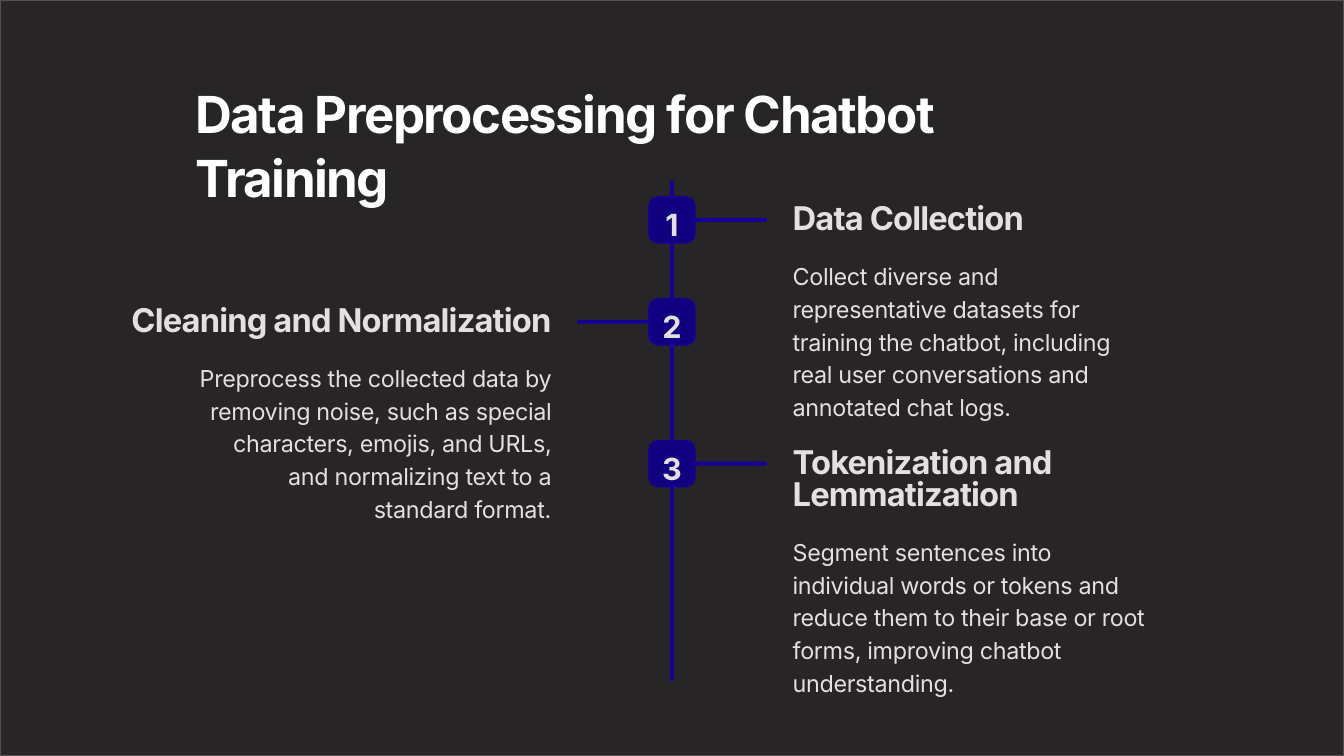
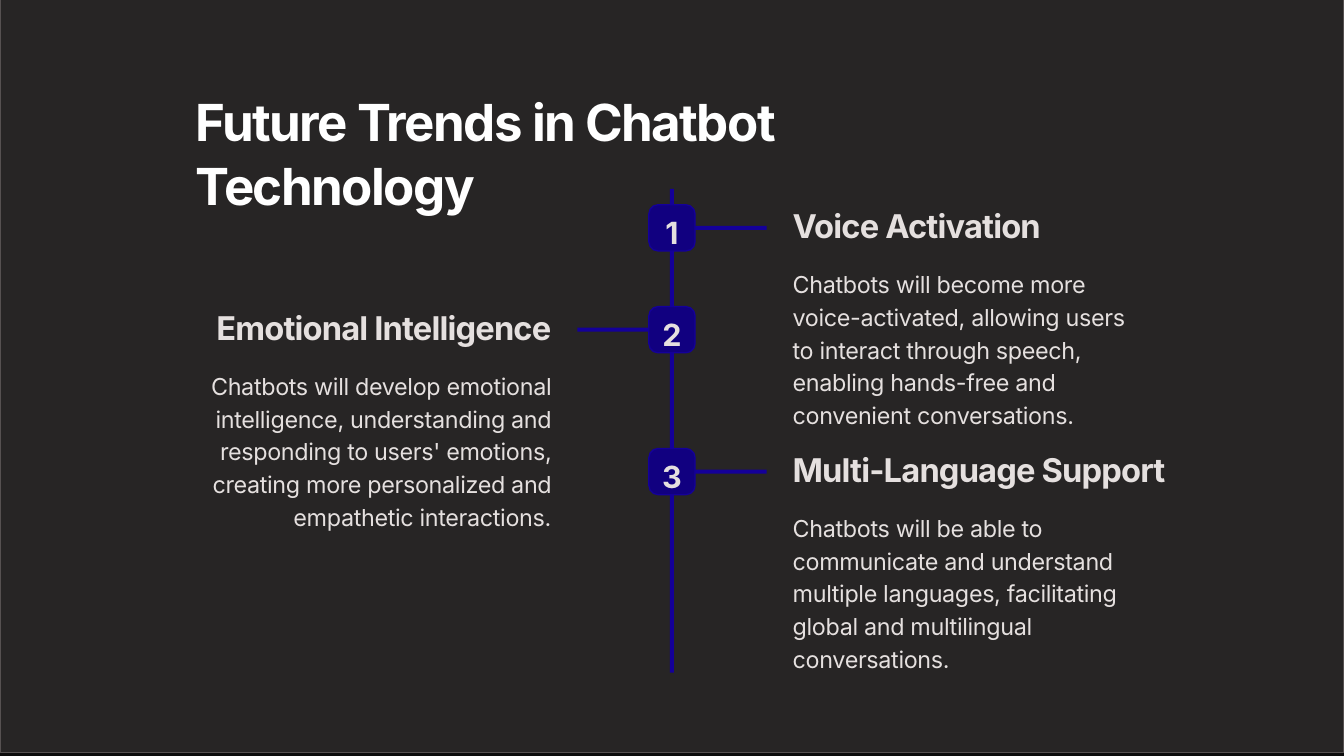
from dataclasses import dataclass

from pptx import Presentation
from pptx.dml.color import RGBColor
from pptx.enum.shapes import MSO_SHAPE as Preset
from pptx.enum.text import MSO_ANCHOR as Anchor, MSO_AUTO_SIZE as AutoSize, PP_ALIGN as Align
from pptx.shapes.autoshape import Shape
from pptx.slide import Slide
from pptx.util import Cm, Pt

COLORS = {
    "backdrop": "0C0C0C",
    "panel": "272525",
    "panel_edge": "565151",
    "title": "FFFFFF",
    "text": "E5E0DF",
    "badge": "110080",
    "line": "140099",
}
FONT = "Inter"
PAGE_WIDTH, PAGE_HEIGHT = 40.64, 22.86
CENTER = PAGE_WIDTH / 2
BADGE = 1.4
STROKE = 0.12
EDGE = Pt(1.09)
BRANCH = 2.16
COLUMN_WIDTH = 11.25
COLUMN_GAP = 3.4
TITLE_LEFT, TITLE_HEIGHT = 5.66, 1.93
HEADING_LINE = 0.97
SPINE_DROP = 3.18
STEP_DROPS = (3.66, 6.74, 11.03)


@dataclass(frozen=True)
class TextStyle:
    size: float
    leading: float
    tracking: int
    color: str = "text"
    bold: bool = True


TITLE = TextStyle(43.7, 54.7, -130, "title")
NUMBER = TextStyle(26.2, 32.8, -80)
HEADING = TextStyle(28, 27.3, -70)
BODY = TextStyle(20, 28, -30, bold=False)


@dataclass(frozen=True)
class Step:
    heading: str
    body: str
    heading_width: float
    heading_lines: int = 1
    body_height: float = 3.94


@dataclass(frozen=True)
class Timeline:
    title: str
    title_width: float
    top: float
    panel_top: float
    spine_length: float
    steps: tuple[Step, ...]


TIMELINES = (
    Timeline(
        "Data Preprocessing for Chatbot Training", 28.7, 2.29, 0, 15.11,
        (
            Step(
                "Data Collection",
                "Collect diverse and representative datasets for training the chatbot, "
                "including real user conversations and annotated chat logs.",
                6.17,
            ),
            Step(
                "Cleaning and Normalization",
                "Preprocess the collected data by removing noise, such as special characters, "
                "emojis, and URLs, and normalizing text to a standard format.",
                9.78,
            ),
            Step(
                "Tokenization and Lemmatization",
                "Segment sentences into individual words or tokens and reduce them to their "
                "base or root forms, improving chatbot understanding.",
                COLUMN_WIDTH,
                heading_lines=2,
            ),
        ),
    ),
    Timeline(
        "Future Trends in Chatbot Technology", 26.44, 2.53, -0.1, 14.63,
        (
            Step(
                "Voice Activation",
                "Chatbots will become more voice-activated, allowing users to interact through "
                "speech, enabling hands-free and convenient conversations.",
                6.17,
            ),
            Step(
                "Emotional Intelligence",
                "Chatbots will develop emotional intelligence, understanding and responding to "
                "users' emotions, creating more personalized and empathetic interactions.",
                7.8,
                body_height=4.93,
            ),
            Step(
                "Multi-Language Support",
                "Chatbots will be able to communicate and understand multiple languages, "
                "facilitating global and multilingual conversations.",
                8.61,
            ),
        ),
    ),
)


def color(name: str) -> RGBColor:
    return RGBColor.from_string(COLORS[name])


def place(shape: Shape, left: float, top: float, width: float, height: float) -> None:
    shape.left, shape.top = Cm(left), Cm(top)
    shape.width, shape.height = Cm(width), Cm(height)


def write(shape: Shape, text: str, style: TextStyle, align: Align, wrap: bool) -> None:
    frame = shape.text_frame
    frame.word_wrap = wrap
    frame.auto_size = AutoSize.NONE
    frame.vertical_anchor = Anchor.TOP
    para = frame.paragraphs[0]
    para.text = text
    para.alignment = align
    para.line_spacing = Pt(style.leading)
    font = para.font
    font.name, font.size, font.bold = FONT, Pt(style.size), style.bold
    font.color.rgb = color(style.color)
    para._p.get_or_add_pPr().get_or_add_defRPr().set("spc", str(style.tracking))


def add_text(page: Slide, text: str, style: TextStyle, left: float, top: float,
             width: float, height: float, align: Align, wrap: bool) -> None:
    box = page.shapes.add_textbox(Cm(left), Cm(top), Cm(width), Cm(height))
    write(box, text, style, align, wrap)


def add_block(page: Slide, preset: Preset, left: float, top: float, width: float,
              height: float, fill: str, edge: str | None = None) -> Shape:
    block = page.shapes.add_shape(preset, Cm(left), Cm(top), Cm(width), Cm(height))
    block.shadow.inherit = False
    block.fill.solid()
    block.fill.fore_color.rgb = color(fill)
    if edge:
        block.line.color.rgb = color(edge)
        block.line.width = EDGE
    else:
        block.line.fill.background()
    return block


def add_step(page: Slide, number: int, step: Step, top: float) -> None:
    on_right = number % 2 == 1
    align = Align.LEFT if on_right else Align.RIGHT

    def beside(gap: float, width: float) -> float:
        return CENTER + gap if on_right else CENTER - gap - width

    add_block(page, Preset.RECTANGLE, beside(BADGE / 2, BRANCH),
              top + (BADGE - STROKE) / 2, BRANCH, STROKE, "line")
    badge = add_block(page, Preset.ROUNDED_RECTANGLE, CENTER - BADGE / 2, top,
                      BADGE, BADGE, "badge", "line")
    badge.adjustments[0] = 0.2
    number_width = 0.54
    add_text(page, str(number), NUMBER, CENTER - number_width / 2, top + 0.12,
             number_width, 1.17, Align.CENTER, False)
    heading_height = step.heading_lines * HEADING_LINE
    add_text(page, step.heading, HEADING, beside(COLUMN_GAP, step.heading_width),
             top + 0.14, step.heading_width, heading_height, align, step.heading_lines > 1)
    add_text(page, step.body, BODY, beside(COLUMN_GAP, COLUMN_WIDTH),
             top + 0.75 + heading_height, COLUMN_WIDTH, step.body_height, align, True)


def add_timeline(deck: Presentation, timeline: Timeline) -> None:
    page = deck.slides.add_slide(deck.slide_layouts.get_by_name("Title Only"))
    page.background.fill.solid()
    page.background.fill.fore_color.rgb = color("backdrop")
    add_block(page, Preset.RECTANGLE, 0, timeline.panel_top, PAGE_WIDTH, PAGE_HEIGHT,
              "panel", "panel_edge")
    title = page.shapes.title
    title.element.getparent().append(title.element)
    place(title, TITLE_LEFT, timeline.top, timeline.title_width, TITLE_HEIGHT)
    write(title, timeline.title, TITLE, Align.LEFT, False)
    add_block(page, Preset.RECTANGLE, CENTER - STROKE / 2, timeline.top + SPINE_DROP,
              STROKE, timeline.spine_length, "line")
    for number, (step, drop) in enumerate(zip(timeline.steps, STEP_DROPS), start=1):
        add_step(page, number, step, timeline.top + drop)


def main() -> None:
    deck = Presentation()
    deck.slide_width, deck.slide_height = Cm(PAGE_WIDTH), Cm(PAGE_HEIGHT)
    for timeline in TIMELINES:
        add_timeline(deck, timeline)
    deck.save("out.pptx")


if __name__ == "__main__":
    main()
